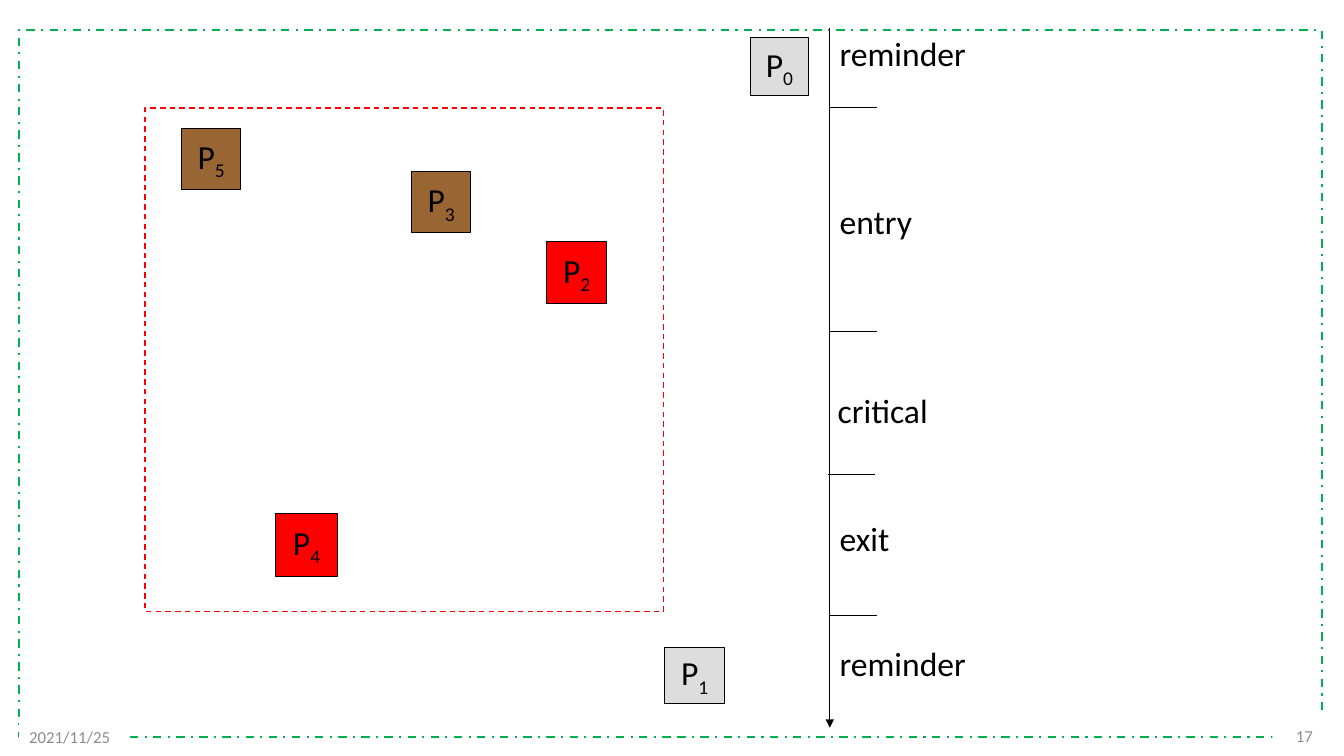
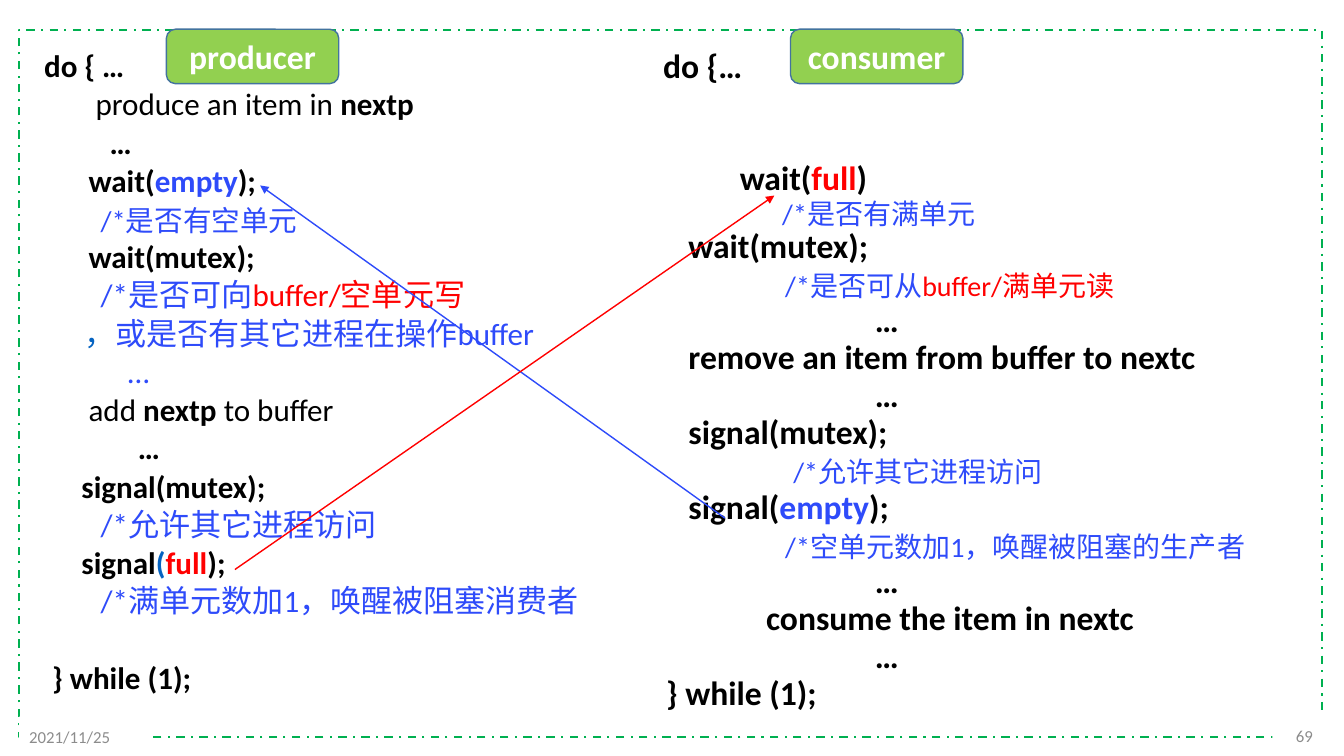
from lxml import etree
from pptx import Presentation
from pptx.dml.color import RGBColor
from pptx.enum.dml import MSO_LINE
from pptx.enum.shapes import MSO_CONNECTOR, MSO_SHAPE
from pptx.enum.text import MSO_ANCHOR, PP_ALIGN
from pptx.oxml.ns import qn
from pptx.util import Inches, Pt

RECT, ROUNDED = MSO_SHAPE.RECTANGLE, MSO_SHAPE.ROUNDED_RECTANGLE
DASH, DASH_DOT = MSO_LINE.DASH, MSO_LINE.DASH_DOT
LEFT, CENTER, RIGHT = PP_ALIGN.LEFT, PP_ALIGN.CENTER, PP_ALIGN.RIGHT
TOP, MIDDLE = MSO_ANCHOR.TOP, MSO_ANCHOR.MIDDLE
STRAIGHT = MSO_CONNECTOR.STRAIGHT

FONT = "Calibri"
BLACK = RGBColor(0x00, 0x00, 0x00)
WHITE = RGBColor(0xFF, 0xFF, 0xFF)
GRAY = RGBColor(0x8C, 0x8C, 0x8C)
SILVER = RGBColor(0xDD, 0xDD, 0xDD)
RED = RGBColor(0xFF, 0x00, 0x00)
BROWN = RGBColor(0x99, 0x66, 0x33)
BLUE = RGBColor(0x2E, 0x4B, 0xFA)
LINK_BLUE = RGBColor(0x05, 0x63, 0xC1)
FRAME_GREEN = RGBColor(0x00, 0xB0, 0x50)
LIME = RGBColor(0x92, 0xD0, 0x50)
STEEL = RGBColor(0x43, 0x73, 0x9E)


def add_box(slide, box, fill=None, line=None, width=0.75, dash=None, kind=RECT):
    shape = slide.shapes.add_shape(kind, *map(Inches, box))
    shape.shadow.inherit = False
    if fill is None:
        shape.fill.background()
    else:
        shape.fill.solid()
        shape.fill.fore_color.rgb = fill
    if line is None:
        shape.line.fill.background()
    else:
        shape.line.color.rgb = line
        shape.line.width = Pt(width)
        if dash is not None:
            shape.line.dash_style = dash
    return shape


def write(shape, text, size=24, color=BLACK, bold=False, align=LEFT, anchor=TOP,
          wrap=False, subscript="", indent=0, pitch=None, before=0):
    """Add a paragraph; text is a string or a list of (text, color, bold)."""
    frame = shape.text_frame
    frame.word_wrap = wrap
    frame.vertical_anchor = anchor
    paragraph = frame.paragraphs[0]
    if paragraph.runs:
        paragraph = frame.add_paragraph()
        paragraph.space_before = Pt(before)
    paragraph.alignment = align
    if pitch:
        paragraph.line_spacing = Pt(pitch)
    if indent:
        paragraph._p.get_or_add_pPr().set("marL", str(Inches(indent)))
    parts = [(text, color, bold)] if isinstance(text, str) else list(text)
    if subscript:
        parts.append((subscript, color, bold))
    for part, part_color, part_bold in parts:
        run = paragraph.add_run()
        run.text = part
        run.font.name = FONT
        run.font.size = Pt(size)
        run.font.bold = part_bold
        run.font.color.rgb = part_color
    if subscript:
        run._r.get_or_add_rPr().set("baseline", "-25000")


prs = Presentation()
prs.slide_width, prs.slide_height = Inches(13.33), Inches(7.5)
blank = prs.slide_layouts[6]
sections, buffer_code = (prs.slides.add_slide(blank) for _ in range(2))

# Shared frame, page number and date
for slide, number, date_width in ((sections, "17", 1.08), (buffer_code, "69", 1.32)):
    add_box(slide, (0.19, 0.3, 12.92, 7.01), line=FRAME_GREEN, width=1.5, dash=DASH_DOT)
    page = add_box(slide, (12.62, 7.1, 0.5, 0.4), fill=WHITE)
    write(page, number, size=12, color=GRAY, align=RIGHT, anchor=MIDDLE, wrap=True)
    date = add_box(slide, (0.19, 7.11, date_width, 0.4), fill=WHITE)
    write(date, "2021/11/25", size=12, color=GRAY, anchor=MIDDLE, wrap=True)

# Slide 1: processes
processes = [
    ("0", SILVER, (7.44, 0.37, 0.58, 0.58)),
    ("1", SILVER, (6.59, 6.42, 0.6, 0.56)),
    ("2", RED, (5.42, 2.4, 0.6, 0.61)),
    ("3", BROWN, (4.08, 1.7, 0.59, 0.61)),
    ("4", RED, (2.73, 5.09, 0.62, 0.63)),
    ("5", BROWN, (1.8, 1.27, 0.59, 0.61)),
]
for index, fill, box in processes:
    process = add_box(sections, box, fill=fill, line=BLACK)
    write(process, "P", subscript=index, align=CENTER, anchor=MIDDLE)
add_box(sections, (1.44, 1.07, 5.14, 5), line=RED, width=1, dash=DASH)

# Slide 1: section names along the time axis
AXIS = 8.23
for name, x, y, width in (("reminder", AXIS, 0.28, 1.47), ("entry", AXIS, 1.94, 0.93),
                          ("critical", 8.21, 3.82, 1.12), ("exit", AXIS, 5.09, 0.7),
                          ("reminder", AXIS, 6.33, 1.47)):
    label = sections.shapes.add_textbox(*map(Inches, (x, y, width, 0.5)))
    write(label, name)

# Slide 2: code lines as (indent, size, space before, parts)
GAP = 2.6
producer = [
    (0, 22.2, 0, [("do { …", BLACK, True)]),
    (0.51, 22.2, GAP, [("produce an item in ", BLACK, False), ("nextp", BLACK, True)]),
    (0.65, 22.2, GAP, [("…", BLACK, True)]),
    (0.44, 22.2, GAP, [("wait(", BLACK, True), ("empty", BLUE, True), (");", BLACK, True)]),
    (0.56, 20.4, GAP, [("/*是否有空单元", BLUE, False)]),
    (0.44, 22.2, GAP, [("wait(mutex);", BLACK, True)]),
    (0.56, 22.2, GAP, [("/*是否可向", BLUE, False), ("buffer/空单元写", RED, False)]),
    (0.4, 22.2, GAP, [("，", LINK_BLUE, False),
                      ("或是否有其它进程在操作buffer", BLUE, False)]),
    (0.83, 22.2, GAP, [("…", BLUE, False)]),
    (0.44, 22.2, GAP, [("add ", BLACK, False), ("nextp ", BLACK, True),
                       ("to buffer", BLACK, False)]),
    (0.93, 22.2, GAP, [("…", BLACK, True)]),
    (0.37, 22.2, GAP, [("signal(mutex);", BLACK, True)]),
    (0.56, 22.2, GAP, [("/*允许其它进程访问", BLUE, False)]),
    (0.37, 22.2, GAP, [("signal", BLACK, True), ("(", LINK_BLUE, True),
                       ("full", RED, True), (");", BLACK, True)]),
    (0.56, 22.2, GAP, [("/*满单元数加1，唤醒被阻塞消费者", BLUE, False)]),
    (0.08, 22.2, 29.9, [("} while (1);", BLACK, True)]),
]
consumer = [
    (0, 24, 0, [("do {…", BLACK, True)]),
    (0.76, 24, 56, [("wait(", BLACK, True), ("full", RED, True), (")", BLACK, True)]),
    (1.18, 20, 0, [("/*是否有满单元", BLUE, False)]),
    (0.25, 24, 0.5, [("wait(mutex);", BLACK, True)]),
    (1.21, 20, GAP, [("/*是否可从", BLUE, False), ("buffer/满单元读", RED, False)]),
    (2.1, 24, GAP, [("…", BLACK, True)]),
    (0.25, 24, GAP, [("remove an item from buffer to nextc", BLACK, True)]),
    (2.1, 24, GAP, [("…", BLACK, True)]),
    (0.25, 24, GAP, [("signal(mutex);", BLACK, True)]),
    (1.29, 20, GAP, [("/*允许其它进程访问", BLUE, False)]),
    (0.25, 24, GAP, [("signal(", BLACK, True), ("empty", BLUE, True), (");", BLACK, True)]),
    (1.21, 20, GAP, [("/*空单元数加1，唤醒被阻塞的生产者", BLUE, False)]),
    (2.1, 24, GAP, [("…", BLACK, True)]),
    (1.02, 24, GAP, [("consume the item in nextc", BLACK, True)]),
    (2.1, 24, GAP, [("…", BLACK, True)]),
    (0.03, 24, GAP, [("} while (1);", BLACK, True)]),
]
for code, box, pitch in ((producer, (0.34, 0.44, 5.96, 6.83), 24.7),
                         (consumer, (6.48, 0.46, 6.64, 6.83), 24)):
    listing = buffer_code.shapes.add_textbox(*map(Inches, box))
    for indent, size, before, parts in code:
        write(listing, parts, size=size, indent=indent, pitch=pitch, before=before, wrap=True)

# Slide 2: headings
for role, x in (("producer", 1.65), ("consumer", 7.84)):
    heading = add_box(buffer_code, (x, 0.29, 1.71, 0.54), fill=LIME, line=STEEL,
                      width=1, kind=ROUNDED)
    write(heading, role, color=WHITE, bold=True, align=CENTER, anchor=MIDDLE, wrap=True)

# Axis with its ticks, and the signal-to-wait arrows
lines = [(sections, (AXIS, 0.28), (AXIS, 7.22), BLACK, 0.75, True)]
for x, y in ((AXIS, 1.07), (AXIS, 3.29), (8.21, 4.71), (AXIS, 6.11)):
    lines.append((sections, (x, y), (x + 0.47, y), BLACK, 0.75, False))
lines += [
    (buffer_code, (7.19, 5.14), (2.58, 1.84), BLUE, 1, True),
    (buffer_code, (2.33, 5.65), (7.68, 1.94), RED, 1, True),
]
for slide, start, end, color, width, arrow in lines:
    connector = slide.shapes.add_connector(STRAIGHT, *map(Inches, start + end))
    connector.line.color.rgb = color
    connector.line.width = Pt(width)
    if arrow:
        etree.SubElement(connector.line._get_or_add_ln(), qn("a:tailEnd"), type="triangle")
    etree.SubElement(connector._element.spPr, qn("a:effectLst"))

prs.save("out.pptx")
